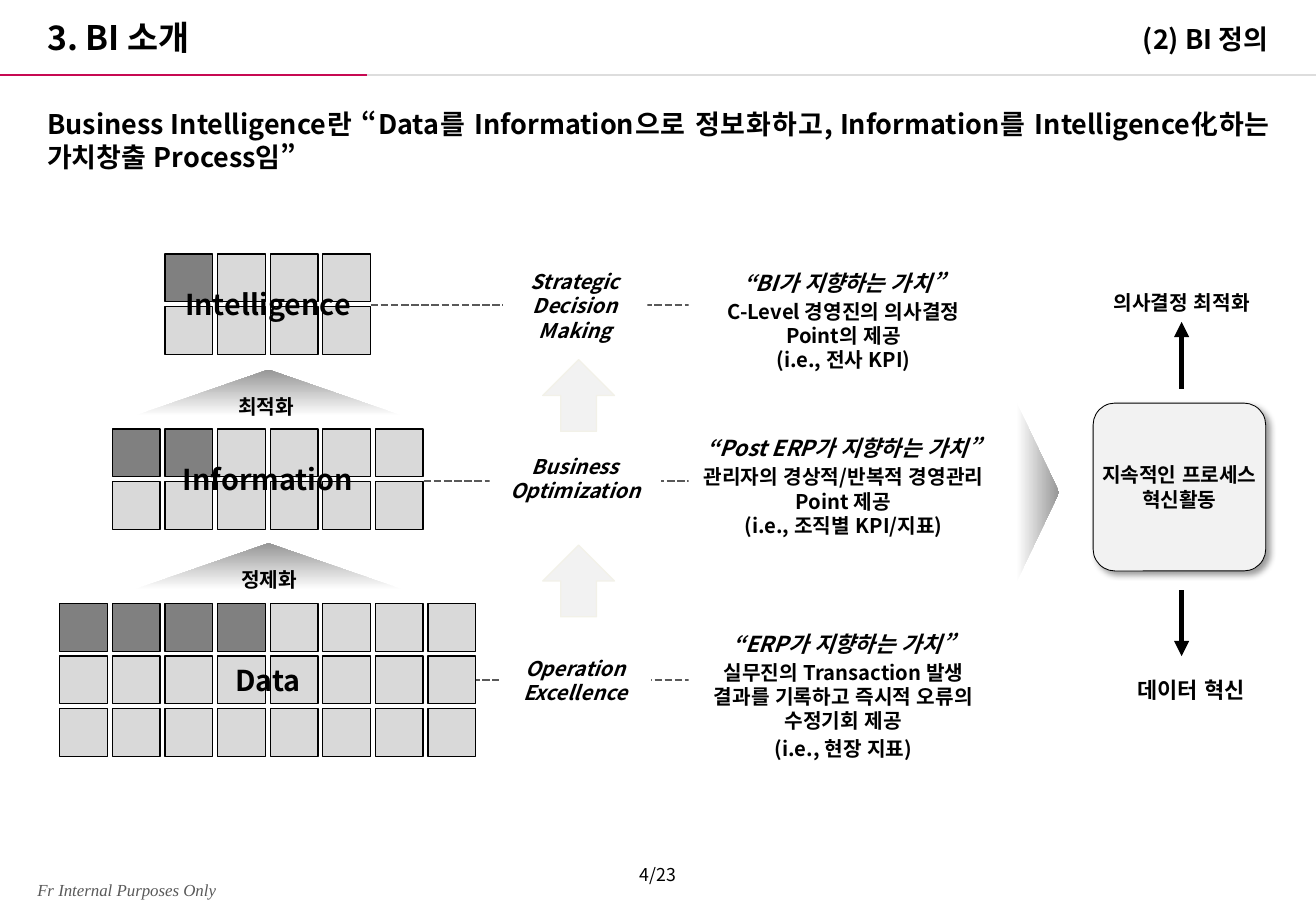
import pptx
import pptx.util
import pptx.dml.color
import pptx.enum.dml
import pptx.enum.lang
import pptx.enum.shapes
import pptx.enum.text
import pptx.oxml.ns
import lxml.etree

Cm = pptx.util.Cm
Pt = pptx.util.Pt
RGBColor = pptx.dml.color.RGBColor
SHAPE = pptx.enum.shapes.MSO_SHAPE
ALIGN = pptx.enum.text.PP_ALIGN
ANCHOR = pptx.enum.text.MSO_ANCHOR
qn = pptx.oxml.ns.qn

BLACK = RGBColor(0x00, 0x00, 0x00)
WHITE = RGBColor(0xFF, 0xFF, 0xFF)
CRIMSON = RGBColor(0xC7, 0x09, 0x52)
RULE_GRAY = RGBColor(0xDD, 0xDD, 0xDD)
DARK_GRAY = RGBColor(0x59, 0x59, 0x59)
CELL_GRAY = RGBColor(0xD9, 0xD9, 0xD9)
CELL_DARK = RGBColor(0x80, 0x80, 0x80)
FADE_GRAY = RGBColor(0x96, 0x96, 0x96)
PALE_GRAY = RGBColor(0xF2, 0xF2, 0xF2)
ARROW_EDGE = RGBColor(0xF2, 0xF1, 0xE8)
KOREAN_FONT = "Noto Sans CJK KR"

deck = pptx.Presentation()
deck.slide_width = Cm(27.52)
deck.slide_height = Cm(19.05)
slide = deck.slides.add_slide(deck.slide_layouts[6])


def add_block(kind, x, y, w, h, fill=None, edge=None, edge_width=0.75):
    block = slide.shapes.add_shape(kind, Cm(x), Cm(y), Cm(w), Cm(h))
    block.shadow.inherit = False
    if fill is not None:
        block.fill.solid()
        block.fill.fore_color.rgb = fill
    if edge is None:
        block.line.fill.background()
    else:
        block.line.color.rgb = edge
        block.line.width = Pt(edge_width)
    return block


def write(block, entries, align=ALIGN.CENTER, anchor=ANCHOR.TOP,
          font=KOREAN_FONT, color=BLACK, bold=True):
    frame = block.text_frame
    frame.word_wrap = True
    frame.vertical_anchor = anchor
    if anchor == ANCHOR.TOP:
        frame.auto_size = pptx.enum.text.MSO_AUTO_SIZE.SHAPE_TO_FIT_TEXT
    for index, (words, size, italic) in enumerate(entries):
        paragraph = frame.add_paragraph() if index else frame.paragraphs[0]
        paragraph.text = words
        paragraph.alignment = align
        paragraph.space_before = paragraph.space_after = Pt(1 if len(entries) > 1 else 0.6)
        for run in paragraph.runs:
            run.font.name = font
            run.font.size = Pt(size)
            run.font.bold = bold
            run.font.italic = italic
            run.font.color.rgb = color
            run.font.language_id = pptx.enum.lang.MSO_LANGUAGE_ID.KOREAN
            lxml.etree.SubElement(run.font._element, qn("a:ea")).set("typeface", font)


lines = [
    (0, 1.57, 7.67, 1.57, CRIMSON, 1.5, False),
    (7.67, 1.57, 27.52, 1.57, RULE_GRAY, 1.5, False),
    (7.75, 6.38, 15.57, 6.38, DARK_GRAY, 1.5, False),
    (8.86, 10.06, 16.66, 10.06, DARK_GRAY, 1.5, False),
    (9.45, 14.22, 17.25, 14.22, DARK_GRAY, 1.5, False),
    (24.71, 12.34, 24.71, 13.72, BLACK, 3, True),
    (24.71, 8.13, 24.71, 6.73, BLACK, 3, True),
]
for x1, y1, x2, y2, color, width, arrow in lines:
    line = slide.shapes.add_connector(
        pptx.enum.shapes.MSO_CONNECTOR.STRAIGHT, Cm(x1), Cm(y1), Cm(x2), Cm(y2))
    line.line.color.rgb = color
    line.line.width = Pt(width)
    if color == DARK_GRAY:
        line.line.dash_style = pptx.enum.dml.MSO_LINE.SQUARE_DOT
    if arrow:
        lxml.etree.SubElement(line.line._get_or_add_ln(), qn("a:tailEnd")).set("type", "triangle")
    lxml.etree.SubElement(line._element.spPr, qn("a:effectLst"))

headings = [
    (0.74, 0.18, 15.04, 1.14, "3. BI 소개", 20, ALIGN.JUSTIFY, ANCHOR.BOTTOM),
    (17.45, 0.13, 9.32, 1.14, "(2) BI 정의", 16, ALIGN.RIGHT, ANCHOR.BOTTOM),
    (0.74, 2.13, 26.06, 1.7,
     "Business Intelligence란 “Data를 Information으로 정보화하고, "
     "Information를 Intelligence化하는 가치창출 Process임”", 16, ALIGN.JUSTIFY, ANCHOR.TOP),
]
for x, y, w, h, words, size, align, anchor in headings:
    heading = slide.shapes.add_textbox(Cm(x), Cm(y), Cm(w), Cm(h))
    write(heading, [(words, size, False)], align, anchor)

CELL, PITCH = 1, 1.1
levels = [
    ("Intelligence", 2, 5.31, 2, 4, 1, 5.87),
    ("Information", 1, 8.97, 2, 6, 2, 9.53),
    ("Data", 0, 12.62, 3, 8, 4, 13.74),
]
for name, indent, top, rows, columns, dark_cells, name_top in levels:
    for row in range(rows):
        for column in range(columns):
            dark = row == 0 and column < dark_cells
            add_block(SHAPE.RECTANGLE, 1.25 + PITCH * (indent + column), top + PITCH * row,
                      CELL, CELL, CELL_DARK if dark else CELL_GRAY, BLACK)
    level_name = slide.shapes.add_textbox(Cm(3), Cm(name_top), Cm(5.21), Cm(0.99))
    write(level_name, [(name, 17, False)])

fades = [
    (5.13, 9.04, 0.97, 5.61, 270),
    (5.13, 5.41, 0.97, 5.61, 270),
    (21.26, 8.43, 0.89, 3.73, 0),
]
for x, y, w, h, rotation in fades:
    fade = add_block(SHAPE.PENTAGON, x, y, w, h)
    fade.adjustments[0] = 1
    fade.rotation = rotation
    fade.fill.gradient()
    fade.fill.gradient_angle = 0
    for stop, position, color in zip(fade.fill.gradient_stops, (0, 1), (WHITE, FADE_GRAY)):
        stop.position = position
        stop.color.rgb = color

for x, y, step in [(3.51, 11.73, "정제화"), (3.45, 8.13, "최적화")]:
    step_name = slide.shapes.add_textbox(Cm(x), Cm(y), Cm(4.24), Cm(0.76))
    write(step_name, [(step, 12, False)], font="Arial")

statements = [
    (10.52, 5.51, 3.02, 1.8, [("Strategic\nDecision\nMaking", 12, True)]),
    (10.24, 9.37, 3.58, 1.27, [("Business\nOptimization", 12, True)]),
    (10.44, 13.59, 3.18, 1.27, [("Operation\nExcellence", 12, True)]),
    (14.4, 5.51, 6.48, 2.41, [
        ("“BI가 지향하는 가치”", 13, True),
        ("C-Level 경영진의 의사결정 Point의 제공\n(i.e., 전사 KPI)", 12, False)]),
    (14.4, 8.97, 6.48, 2.41, [
        ("“Post ERP가 지향하는 가치”", 13, True),
        ("관리자의 경상적/반복적 경영관리 Point 제공\n(i.e., 조직별 KPI/지표)", 12, False)]),
    (14.4, 13.06, 6.48, 2.97, [
        ("“ERP가 지향하는 가치”", 13, True),
        ("실무진의 Transaction 발생 결과를 기록하고 즉시적 오류의 수정기회 제공", 12, False),
        ("(i.e., 현장 지표)", 12, False)]),
    (22.86, 14.02, 4.09, 0.81, [("데이터 혁신", 13, False)]),
    (22.86, 5.94, 3.71, 0.76, [("의사결정 최적화", 12, False)]),
]
for x, y, w, h, entries in statements:
    write(add_block(SHAPE.RECTANGLE, x, y, w, h, WHITE), entries)

for y in (7.52, 11.4):
    add_block(SHAPE.UP_ARROW, 11.35, y, 1.5, 1.5, PALE_GRAY, ARROW_EDGE)

innovation = add_block(SHAPE.ROUNDED_RECTANGLE, 22.86, 8.43, 3.61, 3.51, PALE_GRAY, BLACK, 0.5)
innovation.adjustments[0] = 0.13
write(innovation, [("지속적인 프로세스 혁신활동", 12, False)], anchor=ANCHOR.MIDDLE)
inner = innovation.text_frame
inner.margin_left = inner.margin_right = inner.margin_top = inner.margin_bottom = 0
effects = innovation._element.spPr.find(qn("a:effectLst"))
shadow = lxml.etree.SubElement(effects, qn("a:outerShdw"), blurRad=str(Pt(4)),
                               dist=str(Pt(3)), dir="2700000", algn="tl", rotWithShape="0")
shade = lxml.etree.SubElement(shadow, qn("a:srgbClr"), val=str(BLACK))
lxml.etree.SubElement(shade, qn("a:alpha"), val="40000")

page_number = slide.shapes.add_textbox(Cm(11.76), Cm(17.93), Cm(3.99), Cm(0.74))
write(page_number, [("4/23", 10.5, False)], bold=False)
notice = slide.shapes.add_textbox(Cm(0.53), Cm(18.26), Cm(6.81), Cm(0.69))
write(notice, [("Fr Internal Purposes Only", 10, True)], ALIGN.LEFT,
      font="Times New Roman", color=DARK_GRAY, bold=False)

deck.save("out.pptx")
